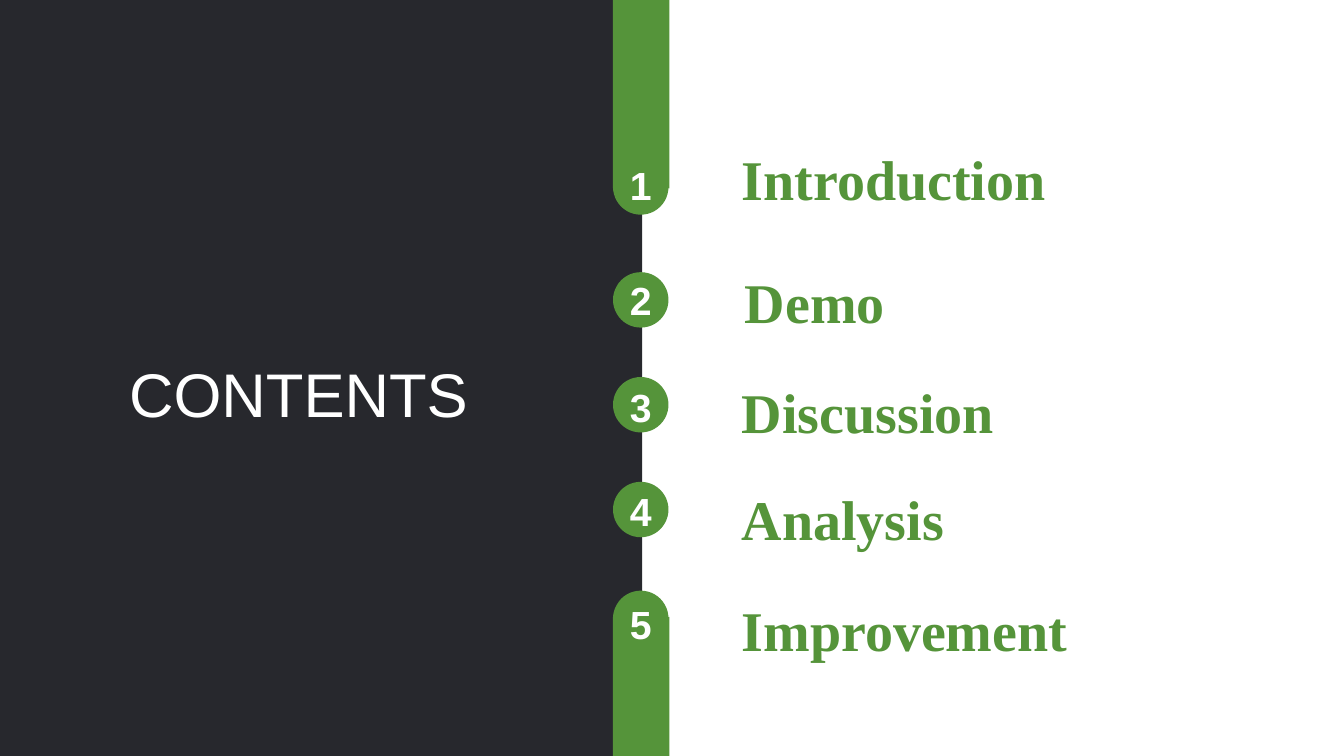
from pptx import Presentation
from pptx.dml.color import RGBColor
from pptx.enum.shapes import MSO_SHAPE
from pptx.enum.text import MSO_ANCHOR, MSO_AUTO_SIZE, PP_ALIGN
from pptx.util import Inches, Pt

RECT, OVAL = MSO_SHAPE.RECTANGLE, MSO_SHAPE.OVAL
TOP, JUSTIFY = MSO_ANCHOR.TOP, PP_ALIGN.JUSTIFY
NO_FIT = MSO_AUTO_SIZE.NONE

DARK = RGBColor(0x27, 0x28, 0x2D)
GREEN = RGBColor(0x55, 0x94, 0x3A)
WHITE = RGBColor(0xFF, 0xFF, 0xFF)

WIDTH, HEIGHT = 13.33, 7.5
DOT = 0.55
RAIL = 6.08

TITLE = {"name": "Arial", "size": Pt(44), "bold": False}
DIGIT = {"name": "Arial", "size": Pt(28), "bold": True}
TOPIC = {"name": "Times New Roman", "size": Pt(40), "bold": True}

# topic, dot top, digit top, then left, top and width of the topic's box
ITEMS = [
    ("Introduction", 1.58, 1.55, (7.26, 1.38, 3.34)),
    ("Demo", 2.7, 2.69, (7.29, 2.61, 1.82)),
    ("Discussion", 3.74, 3.75, (7.26, 3.7, 2.7)),
    ("Analysis", 4.78, 4.79, (7.26, 4.76, 2.21)),
    ("Improvement", 5.86, 5.91, (7.26, 5.86, 3.44)),
]


def add_block(shapes, kind, box, color):
    block = shapes.add_shape(kind, *map(Inches, box))
    block.shadow.inherit = False
    block.fill.solid()
    block.fill.fore_color.rgb = color
    block.line.fill.background()
    return block


def set_text(frame, text, style, color, wrap=True):
    frame.text = text
    frame.word_wrap = wrap
    frame.auto_size = NO_FIT
    frame.vertical_anchor = TOP
    font = frame.paragraphs[0].font
    for key, value in style.items():
        setattr(font, key, value)
    font.color.rgb = color


def add_label(shapes, box, text, style, color, wrap=True):
    label = shapes.add_textbox(*map(Inches, box))
    set_text(label.text_frame, text, style, color, wrap)


def add_panel(slide, box):
    """Dark panel holding the slide title."""
    left, top, width, height = box
    panel = add_block(slide.shapes, RECT, box, DARK)
    title = slide.shapes.title
    panel._element.addnext(title._element)
    title.left, title.top = Inches(left + 1.18), Inches(top + 3.48)
    title.width, title.height = Inches(3.71), Inches(0.84)
    set_text(title.text_frame, "CONTENTS", TITLE, WHITE)
    title.text_frame.paragraphs[0].alignment = JUSTIFY


def add_badge(slide, box, number, digit, bar=None):
    """Numbered dot; bar gives the top and bottom of a band running off it."""
    left, top, size = box
    shapes = slide.shapes.add_group_shape().shapes
    add_block(shapes, OVAL, (left, top, size, size), GREEN)
    if bar:
        start, end = bar
        add_block(shapes, RECT, (left, start, size + 0.01, end - start), GREEN)
    add_label(shapes, (left + 0.07, digit, 0.54, 0.57), str(number),
              DIGIT, WHITE)


def add_topics(slide):
    bars = {1: (0, 1.87), len(ITEMS): (6.12, HEIGHT)}
    for number, (topic, dot, digit, place) in enumerate(ITEMS, 1):
        add_badge(slide, (RAIL, dot, DOT), number, digit, bars.get(number))
        add_label(slide.shapes, (*place, 0.77), topic, TOPIC, GREEN, False)


def main():
    deck = Presentation()
    deck.slide_width, deck.slide_height = Inches(WIDTH), Inches(HEIGHT)
    slide = deck.slides.add_slide(deck.slide_layouts[5])
    add_panel(slide, (0, 0, 6.37, HEIGHT))
    add_topics(slide)
    deck.save("out.pptx")


if __name__ == "__main__":
    main()
